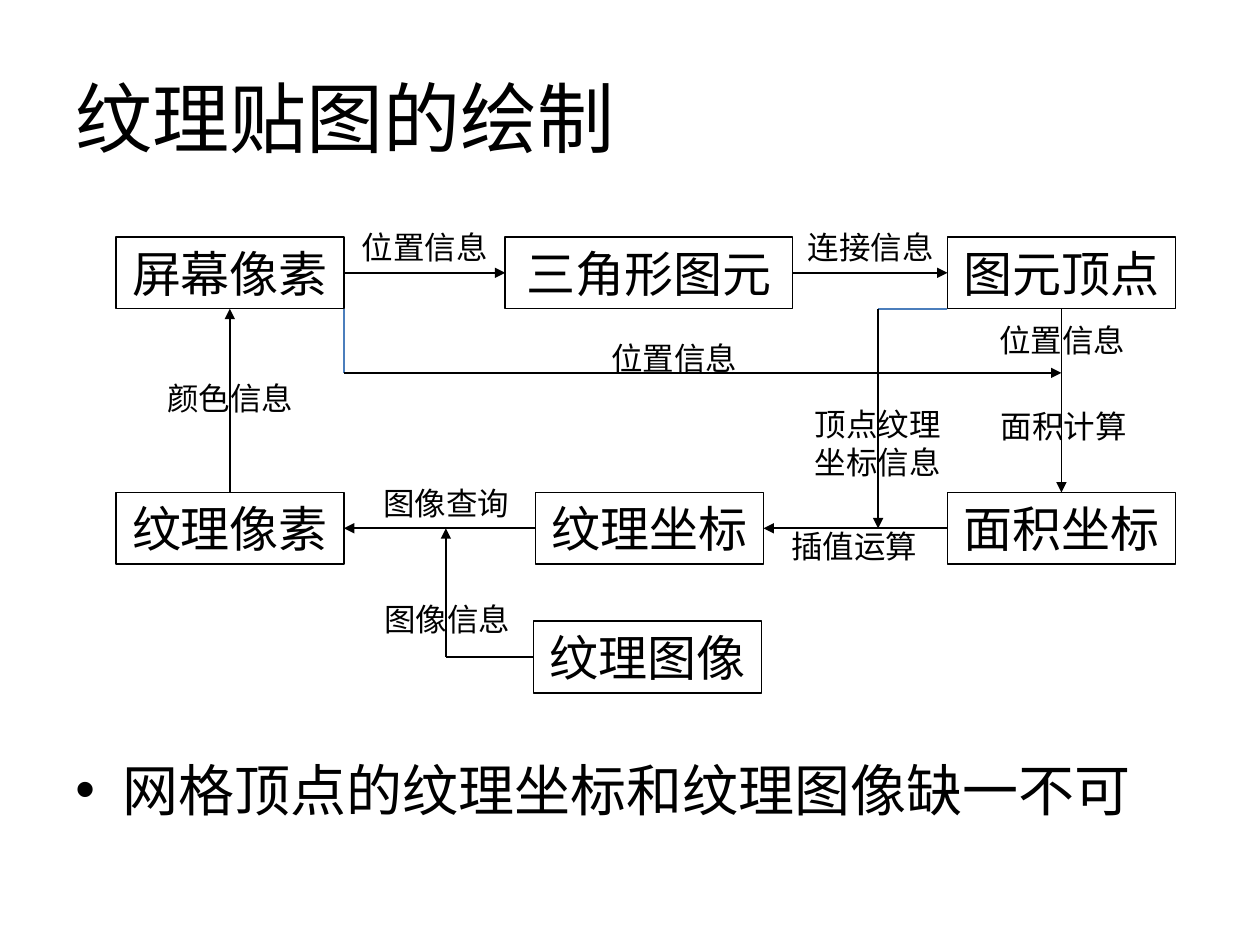
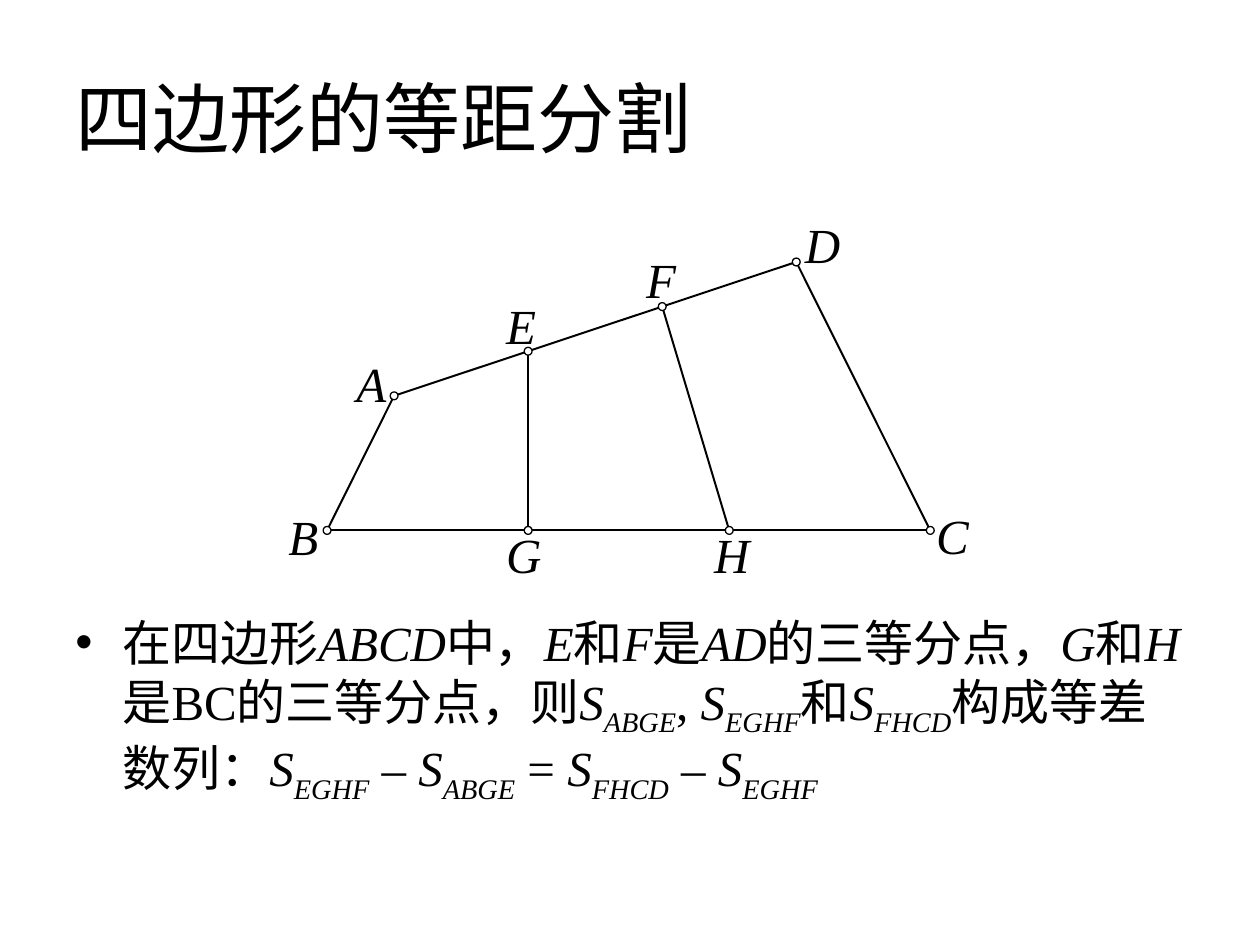
from lxml.etree import SubElement
from pptx import Presentation
from pptx.dml.color import RGBColor
from pptx.enum.lang import MSO_LANGUAGE_ID
from pptx.enum.shapes import MSO_CONNECTOR, MSO_SHAPE
from pptx.enum.text import MSO_ANCHOR, PP_ALIGN
from pptx.oxml.ns import qn
from pptx.util import Pt

BLACK, WHITE, BLUE = "000000", "FFFFFF", "4B7EBC"
SANS, SERIF, HEAD = "Noto Sans CJK SC", "Times New Roman", "Calibri"
TOP, LEFT, BOTTOM, RIGHT = range(4)


def paint(color, value):
    color.rgb = RGBColor.from_string(value)


def write(frame, text, size=18, font=SANS, color=BLACK, align=PP_ALIGN.LEFT,
          anchor=MSO_ANCHOR.TOP, wrap=True, bullet=False):
    """Fill a frame; every second |-part is italic, and _ starts its subscript."""
    frame.word_wrap = wrap
    frame.vertical_anchor = anchor
    for row, line in enumerate(text.split("\n")):
        para = frame.add_paragraph() if row else frame.paragraphs[0]
        para.alignment = align
        if bullet:
            props = para._p.get_or_add_pPr()
            props.set("marL", str(Pt(27)))
            props.set("indent", str(-Pt(27)))
            SubElement(props, qn("a:buFont"), typeface="Arial")
            SubElement(props, qn("a:buChar"), char="•")
        for turn, part in enumerate(line.split("|")):
            for low, piece in enumerate(part.split("_")):
                if not piece:
                    continue
                run = para.add_run()
                run.text = piece
                run.font.size = Pt(size)
                run.font.name = font
                run.font.italic = turn % 2 == 1
                run.font.language_id = MSO_LANGUAGE_ID.SIMPLIFIED_CHINESE
                paint(run.font.color, color)
                if low:
                    run._r.get_or_add_rPr().set("baseline", "-25000")


def start(deck, title):
    slide = deck.slides.add_slide(deck.slide_layouts[5])
    head = slide.shapes.title
    head.left, head.top, head.width, head.height = map(Pt, (36, 21.6, 648, 90))
    write(head.text_frame, title, size=44, font=HEAD, anchor=MSO_ANCHOR.MIDDLE)
    return slide.shapes


def label(shapes, text, x, y, w, h, **style):
    box = shapes.add_textbox(Pt(x), Pt(y), Pt(w), Pt(h))
    write(box.text_frame, text, **style)


def note(shapes, text, x, y, w=102.2, h=28.8):
    label(shapes, text, x, y, w, h, align=PP_ALIGN.CENTER,
          anchor=MSO_ANCHOR.MIDDLE)


def outline(shapes, kind, x, y, w, h, width=1):
    shape = shapes.add_shape(kind, Pt(x), Pt(y), Pt(w), Pt(h))
    shape.shadow.inherit = False
    shape.fill.background()
    shape.line.width = Pt(width)
    paint(shape.line.color, BLACK)
    return shape


def node(shapes, text, x, y, w=130.3):
    box = outline(shapes, MSO_SHAPE.RECTANGLE, x, y, w, 41)
    write(box.text_frame, text, size=28, align=PP_ALIGN.CENTER,
          anchor=MSO_ANCHOR.MIDDLE)
    return box


def dot(shapes, x, y, size=4.5):
    shape = outline(shapes, MSO_SHAPE.OVAL, x - size / 2, y - size / 2,
                    size, size, width=0.75)
    shape.fill.solid()
    paint(shape.fill.fore_color, WHITE)


def stroke(shapes, a, b, color=BLACK, width=1, arrow=False):
    line = shapes.add_connector(MSO_CONNECTOR.STRAIGHT, *map(Pt, (*a, *b)))
    line.line.width = Pt(width)
    paint(line.line.color, color)
    props = line.element.spPr
    if arrow:
        SubElement(props.find(qn("a:ln")), qn("a:tailEnd"), type="triangle")
    SubElement(props, qn("a:effectLst"))
    return line


def join(shapes, first, side, second, other):
    """Draw an arrow between the middles of two box sides."""
    line = stroke(shapes, (0, 0), (0, 0), arrow=True)
    line.begin_connect(first, side)
    line.end_connect(second, other)


def flow(deck):
    shapes = start(deck, "纹理贴图的绘制")
    label(shapes, "网格顶点的纹理坐标和纹理图像缺一不可",
          36, 428.4, 648, 53.3, size=32, bullet=True)

    west, east, high, low = 66.2, 541.4, 135.4, 281.4
    pixel = node(shapes, "屏幕像素", west, high)
    mesh = node(shapes, "三角形图元", 288.7, high, w=164.2)
    vertex = node(shapes, "图元顶点", east, high)
    area = node(shapes, "面积坐标", east, low)
    coord = node(shapes, "纹理坐标", 306, low)
    texel = node(shapes, "纹理像素", west, low)
    image = node(shapes, "纹理图像", 304.8, 355)

    for ends in (
        (pixel, RIGHT, mesh, LEFT),
        (mesh, RIGHT, vertex, LEFT),
        (vertex, BOTTOM, area, TOP),
        (area, LEFT, coord, RIGHT),
        (coord, LEFT, texel, RIGHT),
        (texel, TOP, pixel, BOTTOM),
    ):
        join(shapes, *ends)

    edge, base, mid = west + 130.3, high + 41, low + 20.5
    turn, drop, rise, foot = 213.1, 501.8, 254.8, 375.5
    stroke(shapes, (edge, base), (edge, turn), color=BLUE)
    stroke(shapes, (edge, turn), (east + 65.15, turn), arrow=True)
    stroke(shapes, (east, base), (drop, base), color=BLUE)
    stroke(shapes, (drop, base), (drop, mid), arrow=True)
    stroke(shapes, (304.8, foot), (rise, foot)).begin_connect(image, LEFT)
    stroke(shapes, (rise, foot), (rise, mid), arrow=True)

    for text, x, y in (
        ("位置信息", 191.5, 126.7),
        ("连接信息", 446.4, 126.7),
        ("位置信息", 334.1, 190.1),
        ("位置信息", 555.8, 180),
        ("面积计算", 556.6, 229),
        ("颜色信息", 80.6, 213.1),
        ("插值运算", 437, 297.4),
        ("图像查询", 203.8, 272.9),
        ("图像信息", 204.5, 339.1),
    ):
        note(shapes, text, x, y)
    note(shapes, "顶点纹理\n坐标信息", 437, 227.5, w=128.9, h=51.1)


def between(a, b, part):
    return tuple(p + (q - p) * part for p, q in zip(a, b))


def split(deck):
    shapes = start(deck, "四边形的等距分割")
    label(shapes,
          "在四边形|ABCD|中，|E|和|F|是|AD|的三等分点，|G|和|H|"
          "是BC的三等分点，则|S_ABGE|, |S_EGHF|和|S_FHCD|构成等差数列：|"
          "S_EGHF| – |S_ABGE| = |S_FHCD| – |S_EGHF",
          36, 346.3, 648, 136, size=28, font=SERIF, bullet=True)

    spot = {"A": (225.2, 226.2), "B": (186.9, 303.1),
            "C": (531.6, 303.1), "D": (455, 149.7)}
    for name, ends, part in (("E", "AD", 1 / 3), ("F", "AD", 2 / 3),
                             ("G", "BC", 1 / 3), ("H", "BC", 2 / 3)):
        spot[name] = between(spot[ends[0]], spot[ends[1]], part)

    figure = shapes.add_group_shape().shapes
    for a, b in ("AB", "BC", "CD", "DA", "EG", "FH"):
        stroke(figure, spot[a], spot[b], width=1.13)
    for x, y in spot.values():
        dot(figure, x, y)

    for name, x, y, w in (
        ("A", 196.6, 198.7, 31.7),
        ("B", 157.7, 285.8, 31.7),
        ("C", 527.8, 285.1, 33.1),
        ("D", 452.9, 118.8, 35.3),
        ("E", 282.2, 165.6, 31.7),
        ("F", 362.2, 139, 31.7),
        ("G", 282.2, 295.9, 35.3),
        ("H", 401, 295.9, 35.3),
    ):
        label(shapes, "|" + name, x, y, w, 41, size=28, font=SERIF, wrap=False)


def main():
    deck = Presentation()
    deck.slide_width, deck.slide_height = Pt(720), Pt(540)
    flow(deck)
    split(deck)
    deck.save("out.pptx")


if __name__ == "__main__":
    main()
